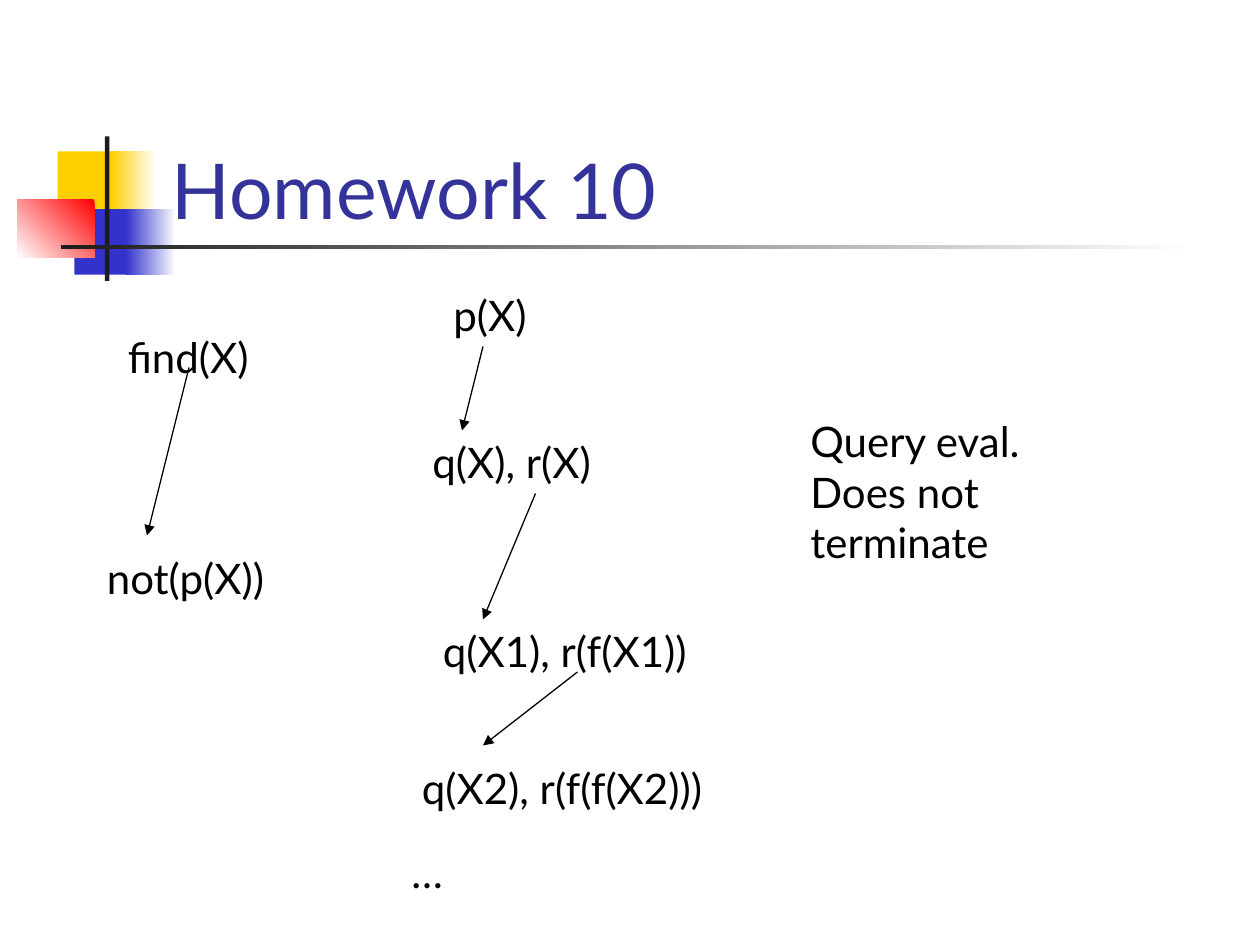
from pptx import Presentation
from pptx.dml.color import RGBColor
from pptx.enum.shapes import MSO_CONNECTOR as Connector, MSO_SHAPE as Shape
from pptx.enum.text import MSO_ANCHOR as Anchor
from pptx.oxml.ns import qn
from pptx.util import Pt
from lxml.etree import SubElement

FONT = "Lato"
WHITE = RGBColor(0xFF, 0xFF, 0xFF)
BLACK = RGBColor(0x00, 0x00, 0x00)
YELLOW = RGBColor(0xFF, 0xCF, 0x01)
BLUE = RGBColor(0x33, 0x33, 0xCC)
RED = RGBColor(0xFF, 0x00, 0x00)
CHARCOAL = RGBColor(0x1C, 0x1C, 0x1C)
INDIGO = RGBColor(0x33, 0x33, 0x99)

SOLID_BLOCKS = [
    ((33, 86.5, 35, 37.5), YELLOW),
    ((42.5, 119.5, 33, 37.5), BLUE),
]
FADING_BLOCKS = [
    ((63.5, 86.5, 25.5, 37.5), WHITE, YELLOW, 180),
    ((72, 119.5, 28.5, 37.5), WHITE, BLUE, 180),
    ((10, 114, 44, 33.25), RED, WHITE, 225),
]
VERTICAL_BAR = (60, 78, 2.5, 82.5)
TITLE_RULE = (35, 140, 648, 2.5)

GOALS = [
    ("find(X)", (66, 186, 138, 36)),
    ("not(p(X))", (54, 312, 138, 36)),
    ("p(X)", (252, 162, 144, 36)),
    ("q(X), r(X)", (240, 246, 180, 36)),
    ("q(X1), r(f(X1))", (246, 354, 234, 36)),
    ("q(X2), r(f(f(X2)))", (234, 432, 240, 36)),
    ("…", (228, 480, 198, 36)),
    ("Query eval. Does not terminate", (456, 234, 186, 93.5)),
]
DERIVATIONS = [
    ((108, 210), (84, 306)),
    ((276, 198), (264, 246)),
    ((306, 282), (276, 354)),
    ((330, 384), (276, 426)),
]


def points(values):
    return [Pt(value) for value in values]


def add_block(slide, box):
    block = slide.shapes.add_shape(Shape.RECTANGLE, *points(box))
    block.shadow.inherit = False
    block.line.fill.background()
    return block


def add_solid(slide, box, color):
    fill = add_block(slide, box).fill
    fill.solid()
    fill.fore_color.rgb = color


def add_fading(slide, box, start, end, angle):
    fill = add_block(slide, box).fill
    fill.gradient()
    fill.gradient_angle = angle
    for stop, color in zip(fill.gradient_stops, (start, end)):
        stop.color.rgb = color


def add_label(slide, text, box, size=24, color=BLACK, anchor=Anchor.TOP):
    frame = slide.shapes.add_textbox(*points(box)).text_frame
    frame.word_wrap = True
    frame.vertical_anchor = anchor
    frame.text = text
    font = frame.paragraphs[0].runs[0].font
    font.name = FONT
    font.size = Pt(size)
    font.color.rgb = color


def add_arrow(slide, start, end):
    arrow = slide.shapes.add_connector(Connector.STRAIGHT, *points(start + end))
    arrow.line.color.rgb = BLACK
    arrow.line.width = Pt(0.75)
    SubElement(arrow.line._get_or_add_ln(), qn("a:tailEnd"), type="triangle")
    SubElement(arrow._element.spPr, qn("a:effectLst"))


def add_ornament(slide):
    for (solid_box, color), fading in zip(SOLID_BLOCKS, FADING_BLOCKS):
        add_solid(slide, solid_box, color)
        add_fading(slide, *fading)
    add_fading(slide, *FADING_BLOCKS[-1])
    add_solid(slide, VERTICAL_BAR, CHARCOAL)
    add_fading(slide, TITLE_RULE, WHITE, CHARCOAL, 180)


def main():
    deck = Presentation()
    deck.slide_width, deck.slide_height = Pt(720), Pt(540)
    slide = deck.slides.add_slide(deck.slide_layouts[6])
    add_ornament(slide)
    add_label(slide, "Homework 10", (91, 48, 613.5, 90), 44, INDIGO, Anchor.BOTTOM)
    for text, box in GOALS:
        add_label(slide, text, box)
    for start, end in DERIVATIONS:
        add_arrow(slide, start, end)
    deck.save("out.pptx")


if __name__ == "__main__":
    main()
